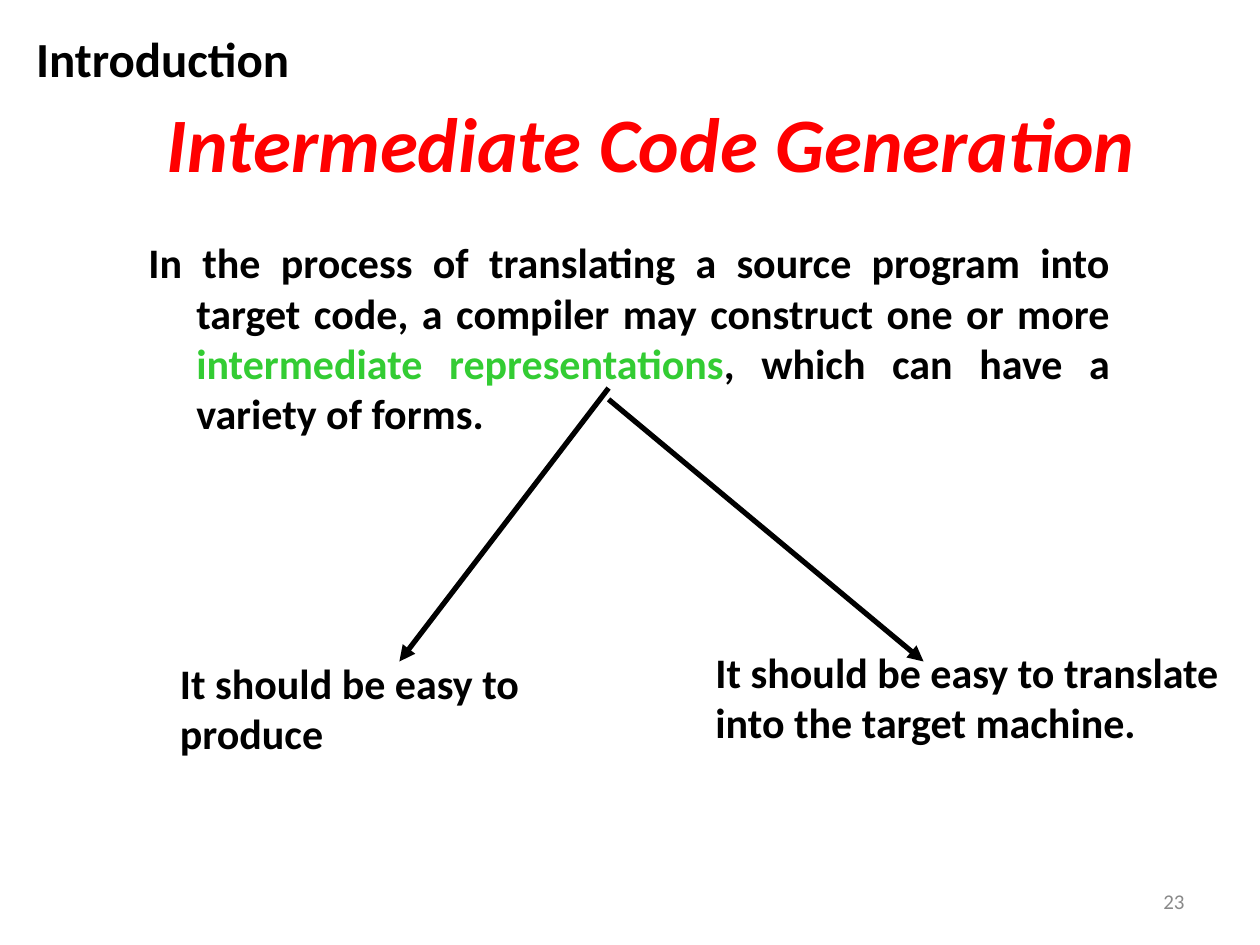
from pptx import Presentation
from pptx.dml.color import RGBColor
from pptx.enum.shapes import MSO_CONNECTOR
from pptx.enum.text import MSO_ANCHOR, MSO_AUTO_SIZE, PP_ALIGN
from pptx.oxml.ns import qn
from pptx.util import Inches, Pt
from lxml import etree

BLACK = RGBColor(0x00, 0x00, 0x00)
RED = RGBColor(0xFF, 0x00, 0x00)
GREEN = RGBColor(0x33, 0xCC, 0x33)
GRAY = RGBColor(0x89, 0x89, 0x89)

LEFT, CENTER, RIGHT, JUSTIFY = (
    PP_ALIGN.LEFT, PP_ALIGN.CENTER, PP_ALIGN.RIGHT, PP_ALIGN.JUSTIFY)
TOP, MIDDLE = MSO_ANCHOR.TOP, MSO_ANCHOR.MIDDLE
GROW = MSO_AUTO_SIZE.SHAPE_TO_FIT_TEXT
STRAIGHT = MSO_CONNECTOR.STRAIGHT

FONT = "Calibri"
BODY = {"size": Pt(24), "bold": True}


def add_text(slide, box, paragraphs, fmt, align=LEFT, anchor=TOP):
    """Each paragraph is a list of (text, colour) runs."""
    sp = slide.shapes.add_textbox(*map(Inches, box))
    tf = sp.text_frame
    tf.word_wrap = True
    tf.vertical_anchor = anchor
    for i, runs in enumerate(paragraphs):
        p = tf.paragraphs[0] if i == 0 else tf.add_paragraph()
        p.alignment = align
        for text, color in runs:
            r = p.add_run()
            r.text = text
            r.font.name = FONT
            r.font.color.rgb = color
            for name, value in fmt.items():
                setattr(r.font, name, value)
    return sp


def set_hanging_indent(p, indent):
    pPr = p._p.get_or_add_pPr()
    pPr.set("marL", str(Inches(indent)))
    pPr.set("indent", str(-Inches(indent)))


def add_arrow(slide, start, end):
    line = slide.shapes.add_connector(STRAIGHT, *map(Inches, start + end))
    line.line.color.rgb = BLACK
    line.line.width = Pt(3)
    etree.SubElement(line.line._get_or_add_ln(), qn("a:tailEnd"), type="triangle")
    etree.SubElement(line._element.spPr, qn("a:effectLst"))


def main():
    prs = Presentation()
    prs.slide_width, prs.slide_height = Inches(10), Inches(7.5)
    slide = prs.slides.add_slide(prs.slide_layouts[6])

    # Slide number
    add_text(slide, (7.17, 6.95, 2.33, 0.4), [[("23", GRAY)]],
             {"size": Pt(12)}, RIGHT, MIDDLE)

    # Title and section heading
    add_text(slide, (0.67, 0.5, 9, 1.25),
             [[("Intermediate Code Generation", RED)]],
             {"size": Pt(44), "bold": True, "italic": True}, CENTER, MIDDLE)
    add_text(slide, (0, 0.25, 2.58, 0.42), [[("Introduction", BLACK)]],
             {"size": Pt(28), "bold": True}, CENTER, MIDDLE)

    # Definition
    definition = add_text(slide, (1.08, 1.83, 7.83, 1.83), [[
        ("In the process of translating a source program into target code, "
         "a compiler may construct one or more ", BLACK),
        ("intermediate representations", GREEN),
        (", which can have a variety of forms.", BLACK),
    ]], BODY, JUSTIFY)
    set_hanging_indent(definition.text_frame.paragraphs[0], 0.38)

    # Two requirements, with arrows from the highlighted term
    requirements = [
        ((1.33, 5.17, 3.5, 0.9), ["It should be easy to", "produce"],
         (4.83, 3.08), (3.17, 5.25)),
        ((5.58, 5.08, 4.42, 0.9),
         ["It should be easy to translate into the target machine."],
         (4.83, 3.17), (7.33, 5.25)),
    ]
    for box, lines, start, end in requirements:
        sp = add_text(slide, box, [[(text, BLACK)] for text in lines], BODY)
        sp.text_frame.auto_size = GROW
        add_arrow(slide, start, end)

    prs.save("out.pptx")


if __name__ == "__main__":
    main()
